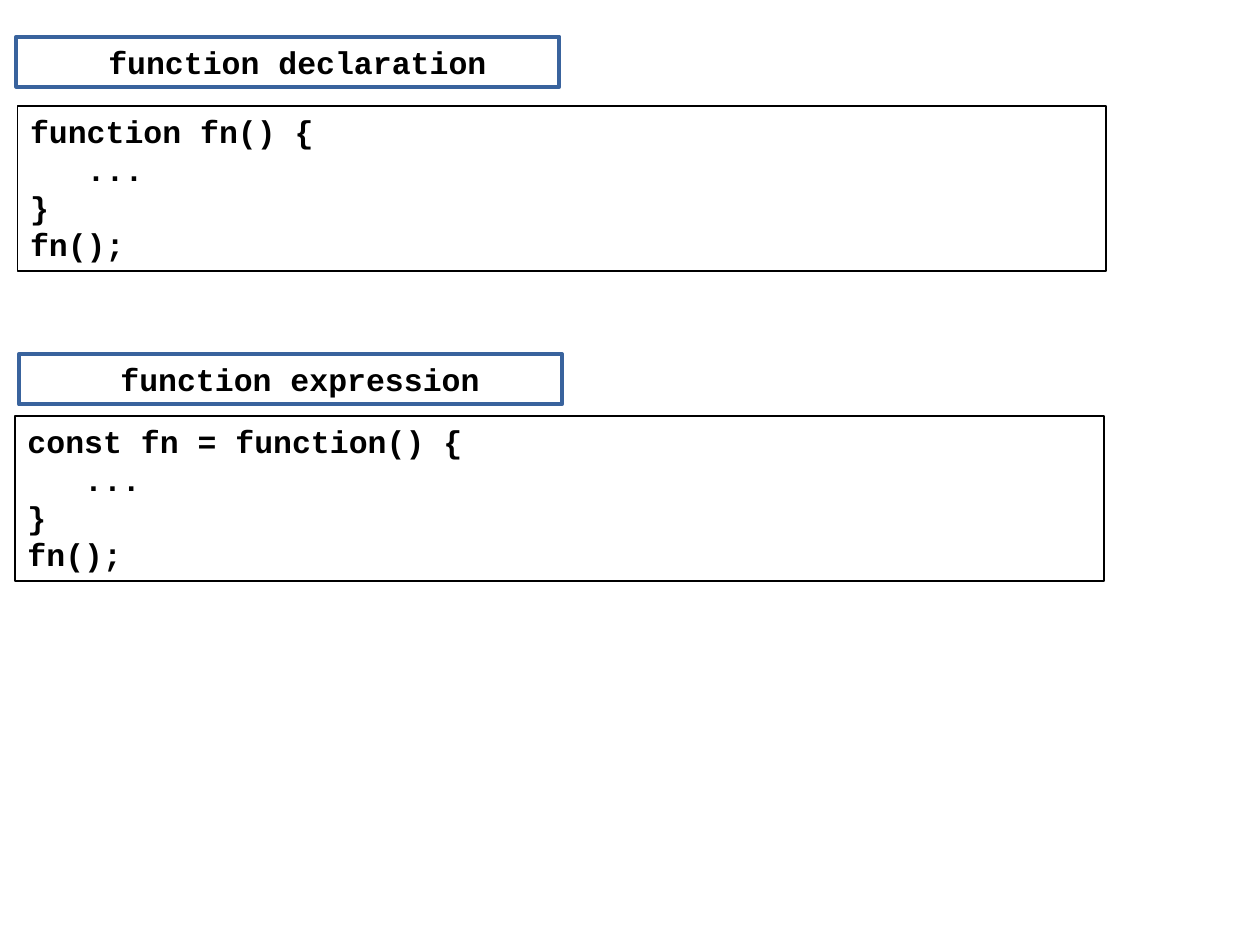
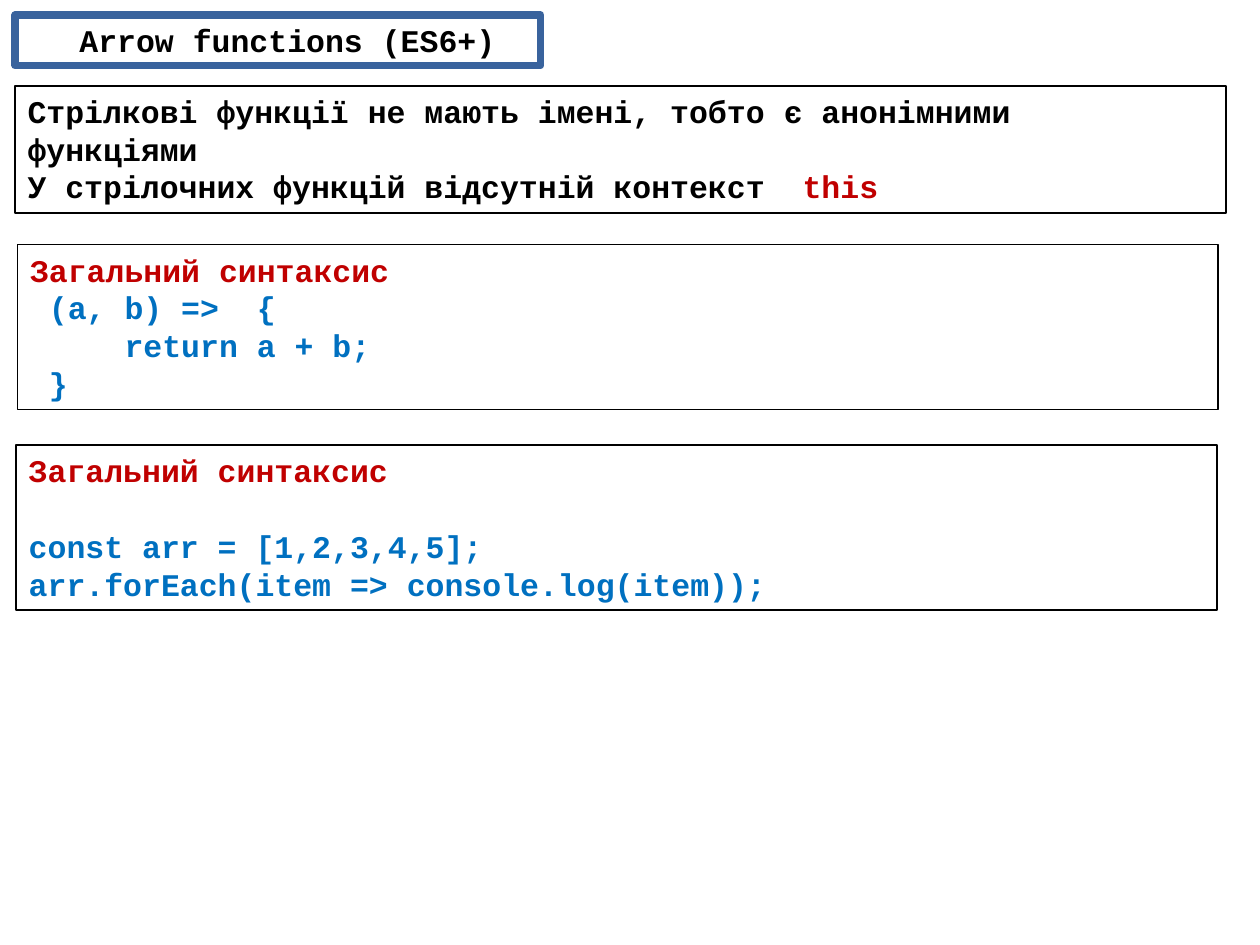
from pptx import Presentation
from pptx.dml.color import RGBColor
from pptx.enum.shapes import MSO_SHAPE
from pptx.enum.text import MSO_ANCHOR, MSO_AUTO_SIZE, PP_ALIGN
from pptx.util import Pt

# Shared style
PX = 9144  # 100 px to the inch
CHAR = 15  # width of one code letter in px
ROW = 22  # height of one code line in points
RECT = MSO_SHAPE.RECTANGLE
TOP, MID = MSO_ANCHOR.TOP, MSO_ANCHOR.MIDDLE
LEFT, CENTER = PP_ALIGN.LEFT, PP_ALIGN.CENTER
FIXED = MSO_AUTO_SIZE.NONE
BLACK = RGBColor(0x00, 0x00, 0x00)
WHITE = RGBColor(0xFF, 0xFF, 0xFF)
NAVY = RGBColor(0x39, 0x63, 0x9D)
RED = RGBColor(0xC0, 0x00, 0x00)
BLUE = RGBColor(0x00, 0x70, 0xC0)
FONT = {"name": "Courier New", "size": Pt(18), "bold": True}
FRAME = {"word_wrap": True, "auto_size": FIXED, "margin_right": 10 * PX,
         "margin_top": 5 * PX, "margin_bottom": 5 * PX}


def apply(item, style):
    for key, value in style.items():
        setattr(item, key, value)


class Deck:
    def __init__(self):
        self.show = Presentation()
        apply(self.show, {"slide_width": 1000 * PX, "slide_height": 750 * PX})
        self.slide = None

    def page(self):
        layout = self.show.slide_layouts.get_by_name("Title Only")
        self.slide = self.show.slides.add_slide(layout)

    def rect(self, left, top, width, height):
        shape = self.slide.shapes.add_shape(
            RECT, left * PX, top * PX, width * PX, height * PX)
        shape.shadow.inherit = False
        return shape

    def edge(self, shape, color, width):
        shape.line.color.rgb = color
        shape.line.width = Pt(width)

    def add_text(self, para, text, color):
        run = para.add_run()
        run.text = text
        apply(run.font, FONT)
        run.font.color.rgb = color

    def label(self, shape, text, width):
        """Framed heading, set half a letter right of the middle."""
        shape.fill.solid()
        shape.fill.fore_color.rgb = WHITE
        self.edge(shape, NAVY, width)
        frame = shape.text_frame
        apply(frame, FRAME | {"margin_left": (10 + CHAR) * PX,
                              "vertical_anchor": MID})
        para = frame.paragraphs[0]
        para.alignment = CENTER
        self.add_text(para, text, BLACK)

    def title(self, text, left, top, width, height, line):
        shape = self.slide.shapes.title
        apply(shape, {"left": left * PX, "top": top * PX,
                      "width": width * PX, "height": height * PX})
        self.label(shape, text, line)

    def panel(self, left, top, width, height, lines):
        """Outlined text; a line is (indent, rows skipped, runs)."""
        shape = self.rect(left, top, width, height)
        shape.fill.background()
        self.edge(shape, BLACK, 1)
        frame = shape.text_frame
        apply(frame, FRAME | {"margin_left": 10 * PX, "vertical_anchor": TOP})
        for i, (indent, skip, runs) in enumerate(lines):
            para = frame.add_paragraph() if i else frame.paragraphs[0]
            apply(para, {"alignment": LEFT, "space_before": Pt(skip * ROW)})
            para._p.get_or_add_pPr().set("marL", str(indent * CHAR * PX))
            for text, color in runs:
                self.add_text(para, text, color)


def line(text, color=BLACK, indent=0, skip=0):
    return indent, skip, [(text, color)]


def body(head):
    return [line(head), line("...", indent=3), line("}"), line("fn();")]


def main():
    deck = Deck()

    # Declaration and expression
    deck.page()
    deck.panel(14, 84, 864, 131, body("function fn() {"))
    deck.title("function declaration", 13, 29, 431, 40, 2.25)
    deck.panel(12, 330, 864, 131, body("const fn = function() {"))
    deck.label(deck.rect(15, 281, 431, 40), "function expression", 2.25)

    # Arrow functions
    deck.page()
    deck.title("Arrow functions (ES6+)", 12, 12, 417, 40, 4.33)
    deck.panel(12, 68, 961, 101, [
        line("Стрілкові функції не мають імені, тобто є анонімними"),
        line("функціями"),
        (0, 0, [("У стрілочних функцій відсутній контекст  ", BLACK),
                ("this", RED)])])
    head = line("Загальний синтаксис", RED)
    deck.panel(14, 194, 953, 131, [
        head,
        line("(a, b) =>  {", BLUE, 1),
        line("return a + b;", BLUE, 5),
        line("}", BLUE, 1)])
    deck.panel(13, 353, 953, 131, [
        head,
        line("const arr = [1,2,3,4,5];", BLUE, skip=1),
        line("arr.forEach(item => console.log(item));", BLUE)])

    deck.show.save("out.pptx")


if __name__ == "__main__":
    main()
